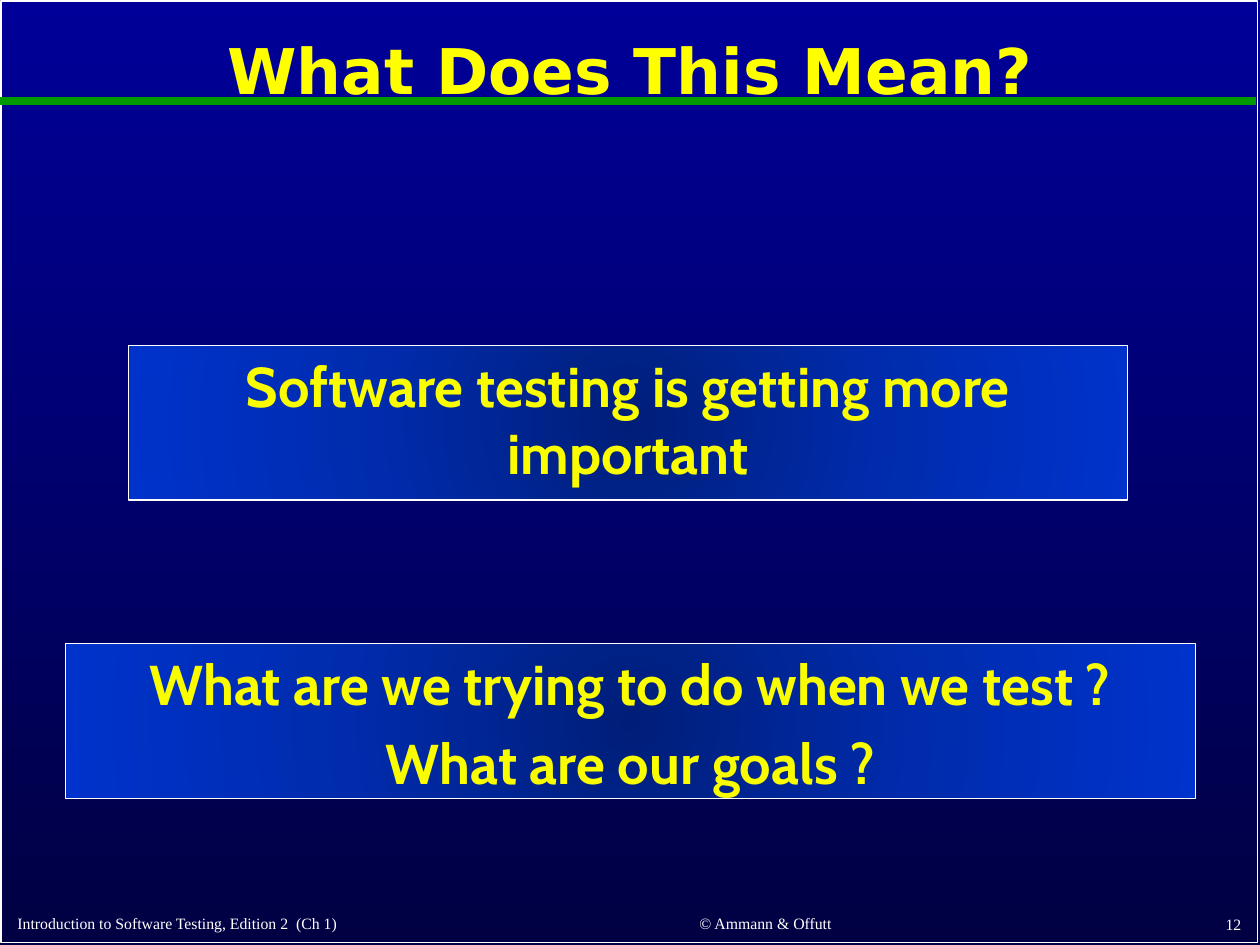
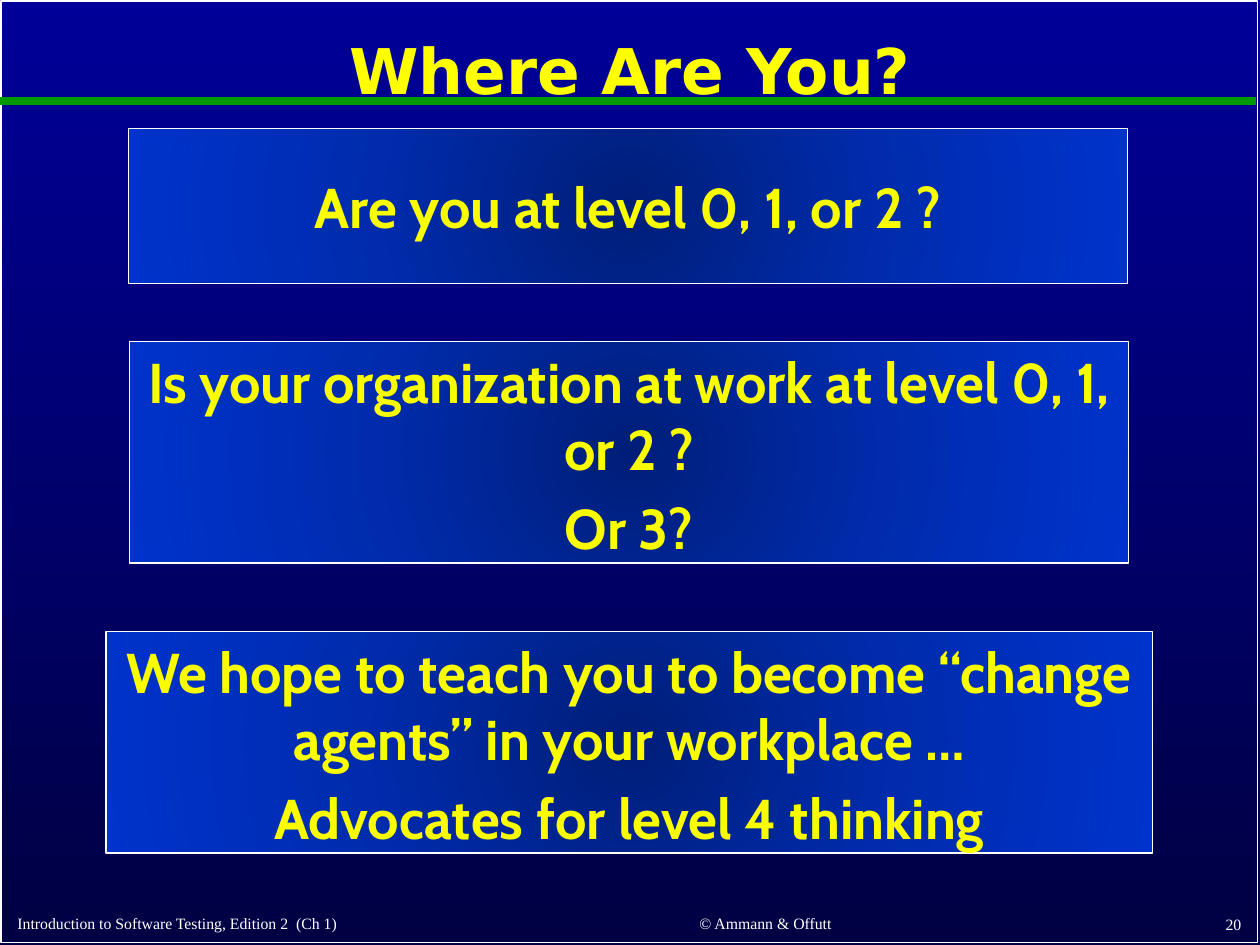
import pptx
import pptx.util
import pptx.dml.color
import pptx.enum.shapes
import pptx.enum.text
import pptx.oxml
import pptx.oxml.ns
from lxml import etree

Inches = pptx.util.Inches
Pt = pptx.util.Pt
Align = pptx.enum.text.PP_ALIGN
Anchor = pptx.enum.text.MSO_ANCHOR
RECT = pptx.enum.shapes.MSO_SHAPE.RECTANGLE
STRAIGHT = pptx.enum.shapes.MSO_CONNECTOR.STRAIGHT

WHITE = "FFFFFF"
GREEN = "009900"
TITLE = "FFFF00"
YELLOW = "FAFD00"
BACK = ("000099", "000043")
GLOW = ((0, "001E79"), (50, "002BAC"), (100, "0033CC"))


def color(code):
    return pptx.dml.color.RGBColor.from_string(code)


def outline(shape, code, width):
    shape.line.color.rgb = color(code)
    shape.line.width = Pt(width)


def write(shape, lines, font, size, code, align, anchor, bold=False, before=0, spacing=1):
    frame = shape.text_frame
    frame.word_wrap = True
    frame.vertical_anchor = anchor
    frame.text = "\n".join(lines)
    for para in frame.paragraphs:
        para.alignment = align
        para.space_before = Pt(before)
        para.line_spacing = spacing
        para.font.name = font
        para.font.size = Pt(size)
        para.font.bold = bold
        para.font.color.rgb = color(code)


def box(slide, place):
    return slide.shapes.add_textbox(*map(Inches, place))


def rect(slide, place, width):
    shape = slide.shapes.add_shape(RECT, *map(Inches, place))
    shape.shadow.inherit = False
    outline(shape, WHITE, width)
    return shape


def glow(shape):
    shape.fill.gradient()
    props = shape._element.spPr
    stops = "".join(
        f'<a:gs pos="{pos * 1000}"><a:srgbClr val="{code}"/></a:gs>' for pos, code in GLOW
    )
    fill = pptx.oxml.parse_xml(
        f'<a:gradFill {pptx.oxml.ns.nsdecls("a")} rotWithShape="1">'
        f'<a:gsLst>{stops}</a:gsLst><a:path path="circle">'
        '<a:fillToRect l="50000" t="50000" r="50000" b="50000"/></a:path></a:gradFill>'
    )
    props.replace(props.find(pptx.oxml.ns.qn("a:gradFill")), fill)


def card(slide, place, lines, anchor=Anchor.TOP):
    shape = rect(slide, place, 0.75)
    glow(shape)
    write(shape, lines, "Cabin", 32, YELLOW, Align.CENTER, anchor, bold=True, before=6.4)


def rule(slide):
    line = slide.shapes.add_connector(
        STRAIGHT, Inches(0), Inches(0.8), Inches(9.97), Inches(0.8)
    )
    outline(line, GREEN, 4.5)
    etree.SubElement(line._element.spPr, pptx.oxml.ns.qn("a:effectLst"))


def footer(slide, number):
    parts = (
        ("Introduction to Software Testing, Edition 2  (Ch 1)", (0.04, 7.18, 4.2, 0.27), Align.LEFT),
        ("© Ammann & Offutt", (4.49, 7.17, 3.17, 0.28), Align.CENTER),
        (str(number), (7.87, 7.17, 2.08, 0.29), Align.RIGHT),
    )
    for text, place, align in parts:
        write(box(slide, place), [text], "Times New Roman", 9, WHITE, align, Anchor.BOTTOM)


def base(deck, title, number):
    slide = deck.slides.add_slide(deck.slide_layouts[6])
    fill = slide.background.fill
    fill.gradient()
    fill.gradient_angle = 270
    for stop, code in zip(fill.gradient_stops, BACK):
        stop.color.rgb = color(code)
    rect(slide, (0.01, 0.01, 9.97, 7.47), 1).fill.background()
    rule(slide)
    write(
        box(slide, (0.05, 0.11, 9.9, 0.95)), [title], "DejaVu Sans", 36, TITLE,
        Align.CENTER, Anchor.MIDDLE, bold=True, spacing=0.9,
    )
    footer(slide, number)
    return slide


def main():
    deck = pptx.Presentation()
    deck.slide_width = Inches(10)
    deck.slide_height = Inches(7.5)

    slide = base(deck, "What Does This Mean?", 12)
    card(slide, (1.02, 2.74, 7.93, 1.23), ["Software testing is getting more important"])
    card(
        slide, (0.52, 5.11, 8.97, 1.23),
        ["What are we trying to do when we test ?", "What are our goals ?"],
    )

    slide = base(deck, "Where Are You?", 20)
    card(slide, (1.02, 1.02, 7.93, 1.23), ["Are you at level 0, 1, or 2 ?"], Anchor.MIDDLE)
    card(
        slide, (1.03, 2.71, 7.93, 1.76),
        ["Is your organization at work at level 0, 1, or 2 ?", "Or 3?"],
    )
    card(
        slide, (0.84, 5.01, 8.31, 1.76),
        [
            "We hope to teach you to become “change agents” in your workplace …",
            "Advocates for level 4 thinking",
        ],
    )

    deck.save("out.pptx")


if __name__ == "__main__":
    main()
